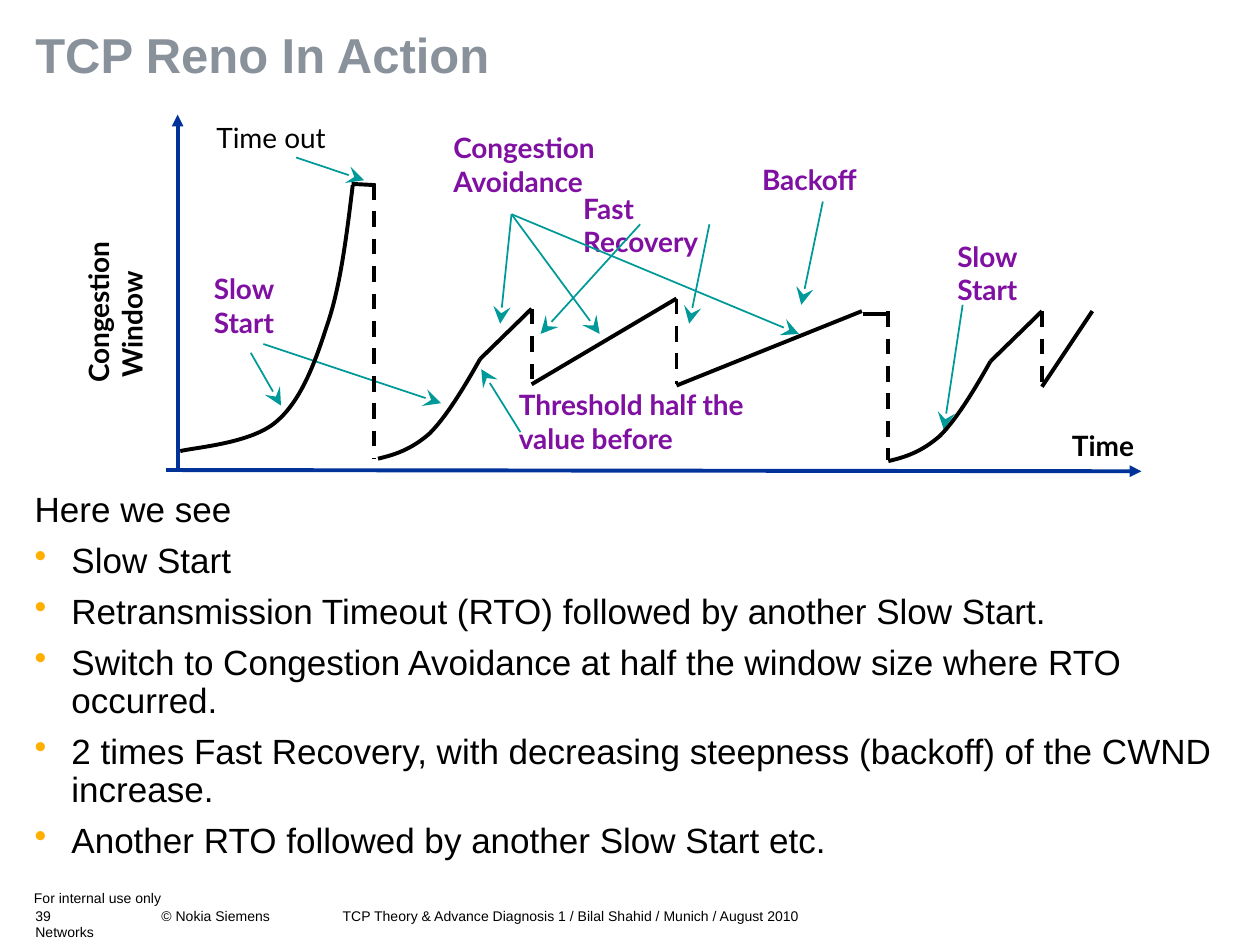
from dataclasses import dataclass
from typing import Any

from lxml.etree import SubElement
from pptx import Presentation
from pptx.dml.color import RGBColor
from pptx.enum.dml import MSO_LINE
from pptx.enum.shapes import MSO_CONNECTOR
from pptx.enum.text import MSO_ANCHOR, MSO_AUTO_SIZE
from pptx.oxml.ns import qn
from pptx.util import Pt

COLORS = {
    "ink": "000000",
    "title": "89929B",
    "bullet": "FFAF00",
    "axis": "003399",
    "pointer": "009999",
    "phase": "7F10A2",
}


@dataclass
class SlideStyle:
    slide: Any
    text_font: str = "Arial"
    label_font: str = "Lato"
    label_size: float = 16
    curve_width: float = 2.25
    pointer_width: float = 1

    def color(self, name):
        return RGBColor.from_string(COLORS[name])

    def text(self, box, lines, size, color="ink", bold=False, font=None,
             insets=(0, 0), wrap=True, grow=False):
        shape = self.slide.shapes.add_textbox(*map(Pt, box))
        frame = shape.text_frame
        frame.word_wrap = wrap
        frame.auto_size = MSO_AUTO_SIZE.SHAPE_TO_FIT_TEXT if grow else MSO_AUTO_SIZE.NONE
        frame.vertical_anchor = MSO_ANCHOR.TOP
        frame.margin_left = frame.margin_right = Pt(insets[0])
        frame.margin_top = frame.margin_bottom = Pt(insets[1])
        frame.text = "\n".join(lines)
        for paragraph in frame.paragraphs:
            for run in paragraph.runs:
                run.font.name = font or self.text_font
                run.font.size = Pt(size)
                run.font.bold = bold
                run.font.color.rgb = self.color(color)
        return shape

    def footer(self, box, line, tab=None):
        shape = self.text(box, [line], 8)
        if tab:
            properties = shape.text_frame.paragraphs[0]._p.get_or_add_pPr()
            stops = SubElement(properties, qn("a:tabLst"))
            SubElement(stops, qn("a:tab"), pos=str(Pt(tab)), algn="l")

    def title(self, box, line):
        heading = self.text(box, [line], 28, "title", True)
        heading.text_frame.paragraphs[0].line_spacing = 0.9

    def bullets(self, box, intro, points):
        shape = self.text(box, [intro, *points], 20)
        for index, paragraph in enumerate(shape.text_frame.paragraphs):
            paragraph.line_spacing = 0.9
            if index == 0:
                continue
            paragraph.level = 1
            paragraph.space_before = Pt(7.5)
            properties = paragraph._p.get_or_add_pPr()
            properties.set("marL", str(Pt(21)))
            properties.set("indent", str(-Pt(21)))
            tint = SubElement(properties, qn("a:buClr"))
            SubElement(tint, qn("a:srgbClr"), val=COLORS["bullet"])
            SubElement(properties, qn("a:buChar"), char="•")

    def label(self, box, *lines, color="phase", bold=True, wrap=True):
        return self.text(box, lines, self.label_size, color, bold, self.label_font,
                         (7.2, 3.6), wrap, True)

    def line(self, start, end, color="ink", width=None, dashed=False, head=None, head_size="med"):
        stroke = self.slide.shapes.add_connector(
            MSO_CONNECTOR.STRAIGHT, *map(Pt, (*start, *end)))
        stroke.line.color.rgb = self.color(color)
        stroke.line.width = Pt(width or self.curve_width)
        if dashed:
            stroke.line.dash_style = MSO_LINE.DASH
        if head:
            SubElement(stroke.line._get_or_add_ln(), qn("a:tailEnd"),
                       type=head, w=head_size, len=head_size)
        SubElement(stroke._element.spPr, qn("a:effectLst"))

    def axis(self, start, end):
        self.line(start, end, "axis", head="triangle")

    def pointer(self, start, end):
        self.line(start, end, "pointer", self.pointer_width, head="stealth", head_size="lg")

    def curve(self, start, controls):
        builder = self.slide.shapes.build_freeform(*map(Pt, start))
        builder.add_line_segments([(Pt(x), Pt(y)) for x, y in controls], close=False)
        growth = builder.convert_to_shape()
        growth.shadow.inherit = False
        growth.fill.background()
        growth.line.color.rgb = self.color("ink")
        growth.line.width = Pt(self.curve_width)
        outline = next(growth._element.iter(qn("a:path")))
        segments = outline.findall(qn("a:lnTo"))
        for first in range(0, len(segments), 3):
            bezier = SubElement(outline, qn("a:cubicBezTo"))
            for segment in segments[first:first + 3]:
                bezier.append(segment[0])
                outline.remove(segment)


def main():
    deck = Presentation()
    deck.slide_width, deck.slide_height = Pt(720), Pt(540)
    page = SlideStyle(deck.slides.add_slide(deck.slide_layouts[6]))

    page.footer((19.4, 508.3, 240, 10.8), "For internal use only")
    page.footer((20.2, 518.4, 168, 19.4), "39\t© Nokia Siemens Networks", tab=72)
    page.footer((195.8, 518.4, 300, 9.4),
                "TCP Theory & Advance Diagnosis 1 / Bilal Shahid / Munich / August 2010")
    page.title((20.2, 18, 679.7, 64.8), "TCP Reno In Action")
    page.bullets((19.8, 281.5, 680.4, 209.5), "Here we see", [
        "Slow Start",
        "Retransmission Timeout (RTO) followed by another Slow Start.",
        "Switch to Congestion Avoidance at half the window size where RTO occurred.",
        "2 times Fast Recovery, with decreasing steepness (backoff) of the CWND increase.",
        "Another RTO followed by another Slow Start etc.",
    ])

    page.axis((101.5, 267.8), (101.5, 65.5))
    page.axis((95, 268.6), (652.3, 269.3))
    page.label((605.5, 241.2, 59.8, 26.6), "Time", color="ink")
    window_label = page.label((-10.8, 126, 153.4, 46.1), "Congestion", "Window", color="ink")
    window_label.rotation = 270
    window_label.text_frame.paragraphs[1]._p.get_or_add_pPr().set("marL", str(Pt(3.1)))

    page.label((116.6, 65.5, 80.6, 26.6), "Time out", color="ink", bold=False, wrap=False)
    page.label((428.4, 89.3, 74.9, 26.6), "Backoff", wrap=False)
    for left, top, width, phase in [
        (115.2, 151.9, 62.6, "Slow Start"),
        (252, 71.3, 136.8, "Congestion Avoidance"),
        (540, 133.2, 62.6, "Slow Start"),
        (289.4, 218.2, 166.3, "Threshold half the value before"),
        (326.2, 105.8, 108, "Fast Recovery"),
    ]:
        page.label((left, top, width, 46.1), phase)

    avoidance = (292.3, 122.4)
    for start, end in [
        ((169.2, 90), (208.1, 103)),
        ((143.3, 201.6), (160.6, 231.8)),
        ((150.5, 196.6), (252, 230.4)),
        (avoidance, (285.8, 185)),
        (avoidance, (342.7, 190.8)),
        (avoidance, (456.5, 190.8)),
        ((297.4, 247), (275, 211)),
        ((365.8, 128.2), (308.9, 190.8)),
        ((405.4, 128.2), (393.8, 185)),
        ((470.2, 115.2), (457.9, 174.2)),
        ((550.1, 174.2), (539.3, 245.5)),
    ]:
        page.pointer(start, end)

    page.curve((103, 257.8), [
        (112.3, 255.6), (143.3, 253.4), (157.7, 241.2),
        (171.4, 229.7), (179.3, 209.5), (186.5, 187.2),
        (194.4, 164.9), (198, 135.4), (201.6, 105.8),
    ])
    restart = [(9.4, -2.2), (18.7, -5), (29.5, -14.4), (38.9, -23.8), (49, -40.3), (58.3, -56.9)]
    for x, y in [(216, 262.1), (507.6, 263.5)]:
        page.curve((x, y), [(x + dx, y + dy) for dx, dy in restart])

    for start, end in [
        ((200.9, 105.1), (214.6, 105.8)),
        ((274.3, 205.2), (303.8, 176.4)),
        ((303.8, 219.6), (386.6, 170.6)),
        ((386.6, 220.3), (492.5, 177.8)),
        ((493.2, 179.3), (507.6, 179.3)),
        ((565.9, 206.6), (595.4, 177.8)),
        ((595.4, 221), (624.2, 177.8)),
    ]:
        page.line(start, end)

    for x, peak, floor in [
        (213.5, 105.1, 262.1),
        (303.8, 176.4, 219.6),
        (386.6, 170.6, 219.6),
        (507.6, 177.8, 262.8),
        (595.4, 177.8, 221),
    ]:
        page.line((x, peak), (x, floor), dashed=True)

    deck.save("out.pptx")


if __name__ == "__main__":
    main()
